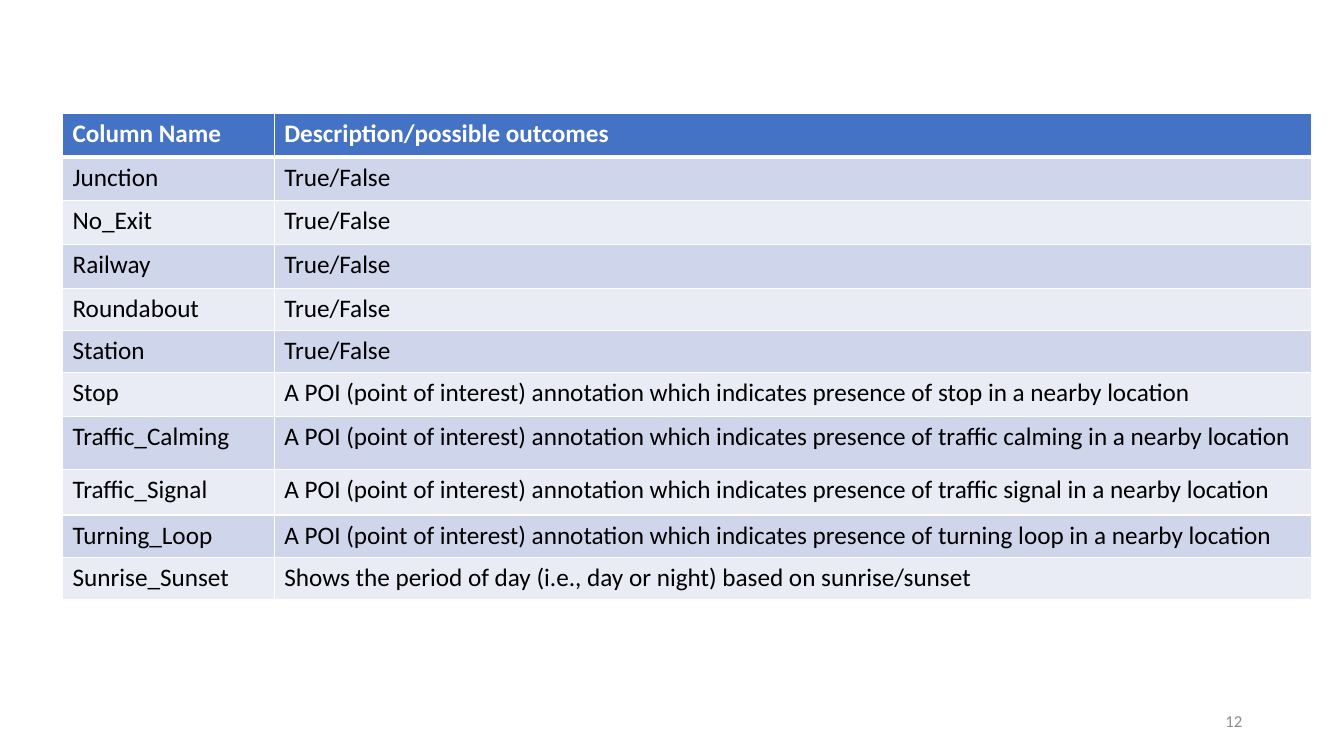
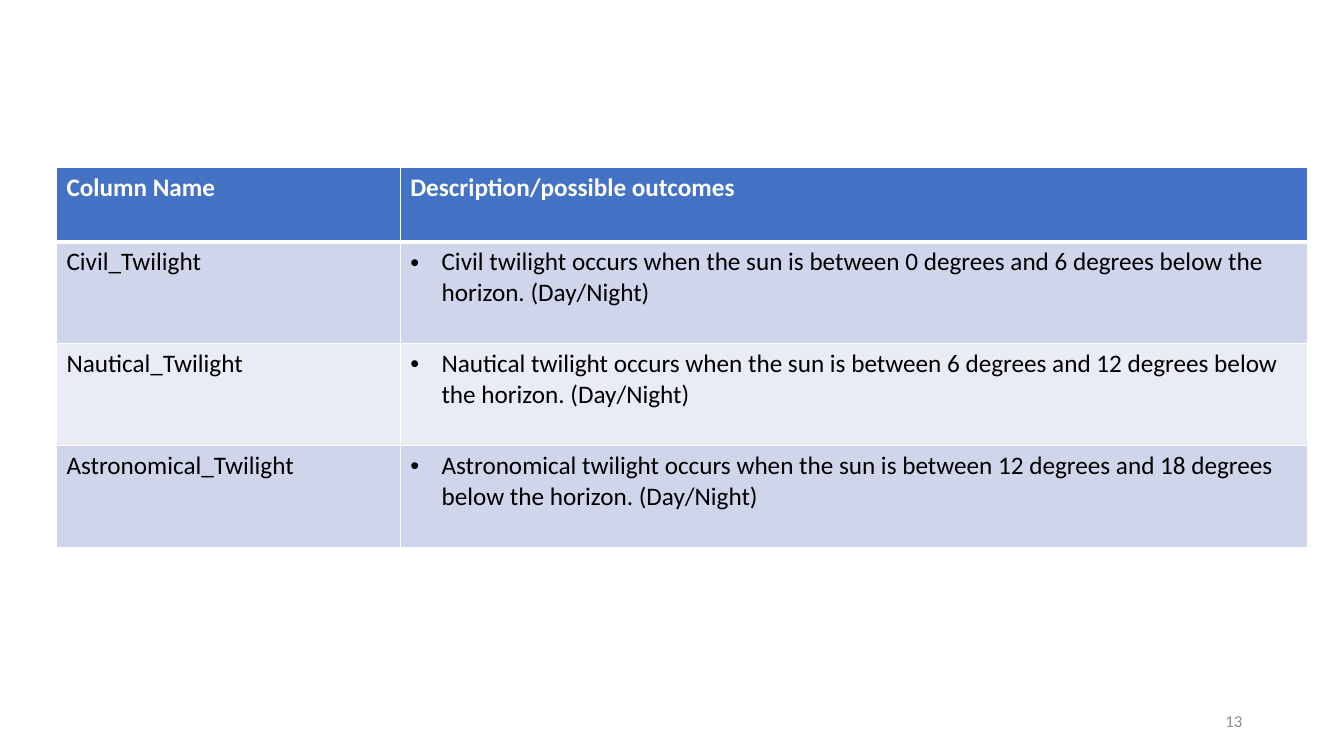
from lxml.etree import SubElement
from pptx import Presentation
from pptx.dml.color import RGBColor
from pptx.enum.text import MSO_ANCHOR, PP_ALIGN
from pptx.oxml.ns import qn
from pptx.util import Inches, Pt

THEME = {
    "font": "Calibri",
    "header": "4472C4",
    "bands": ("CFD5EA", "E9EBF5"),
    "rule": "FFFFFF",
    "thin": 1,
    "thick": 3,
    "indent": 0.31,
}
STYLES = {
    "header": {"size": 18, "color": "FFFFFF", "bold": True},
    "body": {"size": 18, "color": "000000", "bold": False},
    "number": {"size": 12, "color": "8C8C8C", "bold": False},
}

HEADINGS = ("Column Name", "Description/possible outcomes")
FLAG = "True/False"
POI = "A POI (point of interest) annotation which indicates presence of {} in a nearby location"
TWILIGHT = "{} twilight occurs when the sun is between {} degrees and {} degrees below the horizon. (Day/Night)"

FLAGS = ("Junction", "No_Exit", "Railway", "Roundabout", "Station")
POIS = ("Stop", "Traffic_Calming", "Traffic_Signal", "Turning_Loop")
TWILIGHTS = (("Civil", 0, 6), ("Nautical", 6, 12), ("Astronomical", 12, 18))

SLIDES = [
    {
        "number": 12,
        "origin": (0.62, 1.13),
        "cols": (2.1, 10.29),
        "heights": (0.43, 0.43, 0.44, 0.43, 0.42, 0.42, 0.43, 0.53, 0.45, 0.42, 0.42),
        "bullets": False,
        "rows": [(name, FLAG) for name in FLAGS]
        + [(name, POI.format(name.replace("_", " ").lower())) for name in POIS]
        + [("Sunrise_Sunset", "Shows the period of day (i.e., day or night) based on sunrise/sunset")],
    },
    {
        "number": 13,
        "origin": (0.56, 1.66),
        "cols": (3.41, 9),
        "heights": (0.74,) + (1.01,) * 3,
        "bullets": True,
        "rows": [(f"{kind}_Twilight", TWILIGHT.format(kind, low, high))
                 for kind, low, high in TWILIGHTS],
    },
]


def write(tf, text, style):
    p = tf.paragraphs[0]
    r = p.add_run()
    r.text = text
    values = {"name": THEME["font"], "size": Pt(style["size"]), "bold": style["bold"]}
    for key, value in values.items():
        setattr(r.font, key, value)
    r.font.color.rgb = RGBColor.from_string(style["color"])
    return p


def add_bullet(p):
    pPr = p._p.get_or_add_pPr()
    indent = Inches(THEME["indent"])
    pPr.set("marL", str(indent))
    pPr.set("indent", str(-indent))
    SubElement(pPr, qn("a:buFont"), typeface="Arial")
    SubElement(pPr, qn("a:buChar"), char="•")


def set_borders(cell, row):
    tcPr = cell._tc.get_or_add_tcPr()
    thin, thick = THEME["thin"], THEME["thick"]
    widths = {
        "lnL": thin,
        "lnR": thin,
        "lnT": thick if row == 1 else thin,
        "lnB": thick if row == 0 else thin,
    }
    for side, width in widths.items():
        ln = SubElement(tcPr, qn(f"a:{side}"), w=str(Pt(width)))
        fill = SubElement(ln, qn("a:solidFill"))
        SubElement(fill, qn("a:srgbClr"), val=THEME["rule"])


def add_grid(slide, data):
    rows = [HEADINGS] + data["rows"]
    cols, heights = data["cols"], data["heights"]
    box = (*data["origin"], sum(cols), sum(heights))
    table = slide.shapes.add_table(len(rows), len(cols), *map(Inches, box)).table
    for col, width in zip(table.columns, cols):
        col.width = Inches(width)
    for row, height in zip(table.rows, heights):
        row.height = Inches(height)
    for i, texts in enumerate(rows):
        color = THEME["bands"][(i - 1) % 2] if i else THEME["header"]
        style = STYLES["body" if i else "header"]
        for j, text in enumerate(texts):
            cell = table.cell(i, j)
            set_borders(cell, i)
            cell.fill.solid()
            cell.fill.fore_color.rgb = RGBColor.from_string(color)
            p = write(cell.text_frame, text, style)
            if data["bullets"] and i and j:
                add_bullet(p)


def add_number(slide, number):
    tf = slide.shapes.add_textbox(*map(Inches, (9.42, 6.95, 3, 0.4))).text_frame
    tf.word_wrap = True
    tf.vertical_anchor = MSO_ANCHOR.MIDDLE
    write(tf, str(number), STYLES["number"]).alignment = PP_ALIGN.RIGHT


def main():
    prs = Presentation()
    prs.slide_width, prs.slide_height = Inches(13.33), Inches(7.5)
    blank = prs.slide_layouts[6]
    for data in SLIDES:
        slide = prs.slides.add_slide(blank)
        add_grid(slide, data)
        add_number(slide, data["number"])
    prs.save("out.pptx")


if __name__ == "__main__":
    main()
